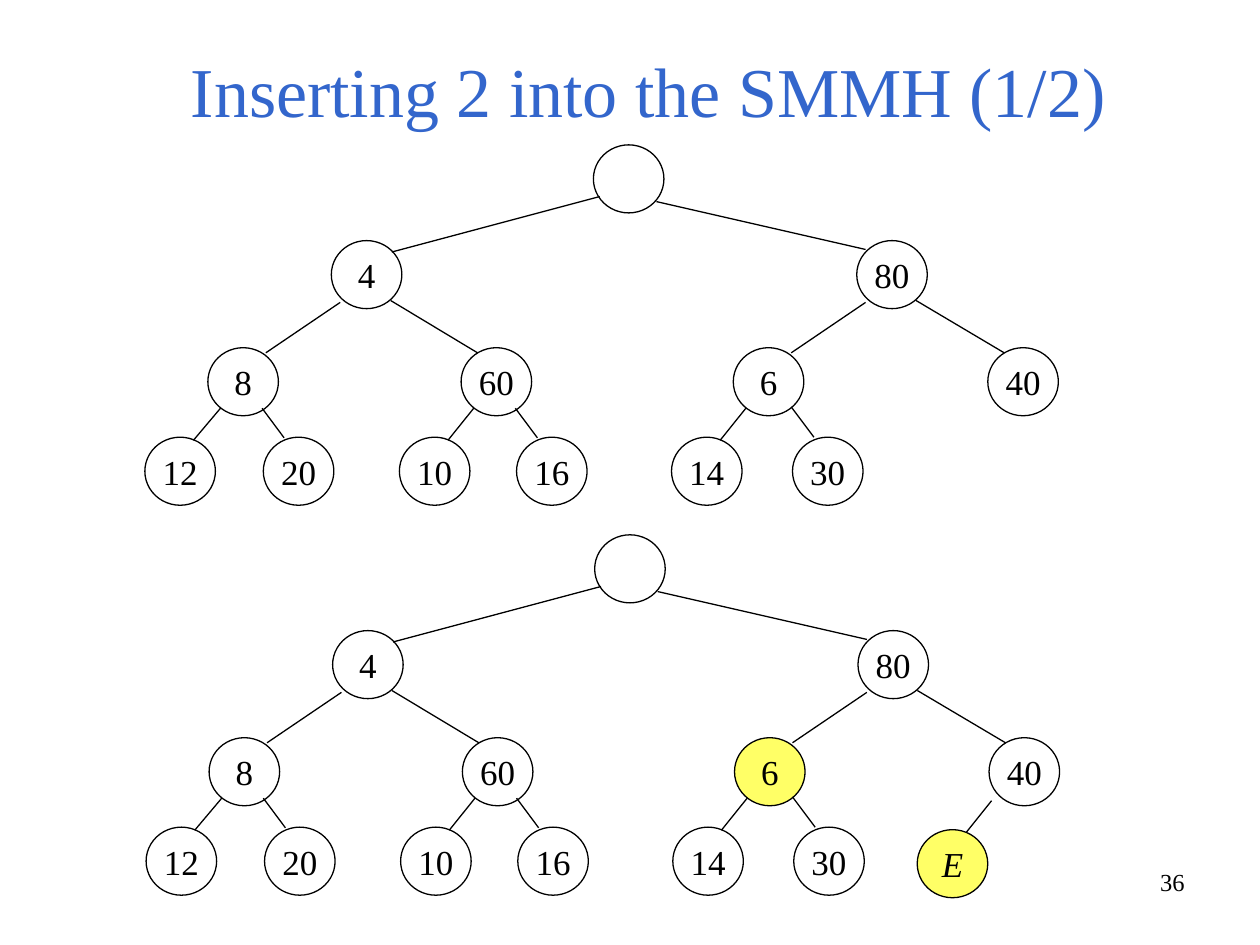
import pptx
import pptx.util
import pptx.dml.color
import pptx.enum.shapes
import pptx.enum.text
import pptx.oxml

COLUMNS, ROWS = 100, 75
FONT = "Times New Roman"

deck = pptx.Presentation()
deck.slide_width = pptx.util.Inches(10)
deck.slide_height = pptx.util.Inches(7.5)
page = deck.slides.add_slide(deck.slide_layouts[6])
column = deck.slide_width / COLUMNS
row = deck.slide_height / ROWS


def color(code):
    return pptx.dml.color.RGBColor.from_string(code)


def write(box, text, size=20, ink="000000", align="CENTER", anchor="MIDDLE",
          italic=False, wrap=False):
    frame = box.text_frame
    frame.word_wrap = wrap
    frame.vertical_anchor = getattr(pptx.enum.text.MSO_ANCHOR, anchor)
    para = frame.paragraphs[0]
    para.alignment = getattr(pptx.enum.text.PP_ALIGN, align)
    span = para.add_run()
    span.text = text
    span.font.name = FONT
    span.font.size = pptx.util.Pt(size)
    span.font.italic = italic
    span.font.color.rgb = color(ink)


# Title and page number: left, top, width, height in grid units
captions = [
    ((7.5, 3.5, 87.9, 7.4), "Inserting 2 into the SMMH (1/2)",
     dict(size=40, ink="3366CC", anchor="BOTTOM")),
    ((71.7, 68.3, 23.3, 5.2), "36", dict(size=14, align="RIGHT", anchor="TOP")),
]
for (left, top, width, height), text, style in captions:
    box = page.shapes.add_textbox(int(left * column), int(top * row),
                                  int(width * column), int(height * row))
    write(box, text, wrap=True, **style)

# Nodes: left column, level, parent, kind of edge to the parent
node_width, node_height = 5.6, 5.4
level_tops = [11.5, 19.1, 27.6, 34.7, 34.9]
nodes = {
    "": (47.1, 0, None, None),
    "4": (26.3, 1, "", "top left"),
    "80": (68, 1, "", "top right"),
    "8": (16.5, 2, "4", "middle left"),
    "60": (36.6, 2, "4", "middle right"),
    "6": (58.2, 2, "80", "middle left"),
    "40": (78.4, 2, "80", "middle right"),
    "12": (11.5, 3, "8", "leaf left"),
    "20": (20.9, 3, "8", "leaf right"),
    "10": (31.7, 3, "60", "leaf left"),
    "16": (41, 3, "60", "leaf right"),
    "14": (53.3, 3, "6", "leaf left"),
    "30": (62.9, 3, "6", "outer leaf right"),
    "E": (72.7, 4, "40", "outer leaf left"),
}

# Edge ends, measured from the corners of the parent and of the child
edges = {
    "top left": (0.5, 4.1, 4.8, 0.9),
    "top right": (5, 4.5, 0.7, 0.7),
    "middle left": (0.7, 4.9, 4.6, 0.4),
    "middle right": (4.7, 4.75, 1.3, 0.4),
    "leaf left": (1, 4.8, 3.85, 0.25),
    "leaf right": (4.3, 4.8, 1.65, 0.05),
    "outer leaf left": (0.2, 5, 3.9, 0.2),
    "outer leaf right": (4.6, 4.7, 1.7, 0),
}

# The heap before and after: shift, nodes left out, highlighted nodes
trees = [(0, 0, {"E"}, set()), (0.1, 30.95, set(), {"6", "E"})]

for shift_x, shift_y, missing, marked in trees:
    for label, (left, level, parent, edge) in nodes.items():
        if label in missing:
            continue
        top = level_tops[level]
        node = page.shapes.add_shape(
            pptx.enum.shapes.MSO_SHAPE.OVAL,
            int((left + shift_x) * column), int((top + shift_y) * row),
            int(node_width * column), int(node_height * row))
        node.shadow.inherit = False
        node.line.color.rgb = color("000000")
        node.line.width = pptx.util.Pt(0.75)
        if label in marked:
            node.fill.solid()
            node.fill.fore_color.rgb = color("FFFF66")
        else:
            node.fill.background()
        if label:
            write(node, label, italic=label == "E")

        # Edge from the parent down to this node
        if parent is None:
            continue
        parent_left, parent_level = nodes[parent][:2]
        from_x, from_y, to_x, to_y = edges[edge]
        branch = page.shapes.add_connector(
            pptx.enum.shapes.MSO_CONNECTOR.STRAIGHT,
            int((parent_left + from_x + shift_x) * column),
            int((level_tops[parent_level] + from_y + shift_y) * row),
            int((left + to_x + shift_x) * column),
            int((top + to_y + shift_y) * row))
        branch.line.color.rgb = color("000000")
        branch.line.width = pptx.util.Pt(0.75)
        branch._element.spPr.append(pptx.oxml.parse_xml(
            '<a:effectLst xmlns:a="http://schemas.openxmlformats.org/drawingml/2006/main"/>'))

deck.save("out.pptx")
